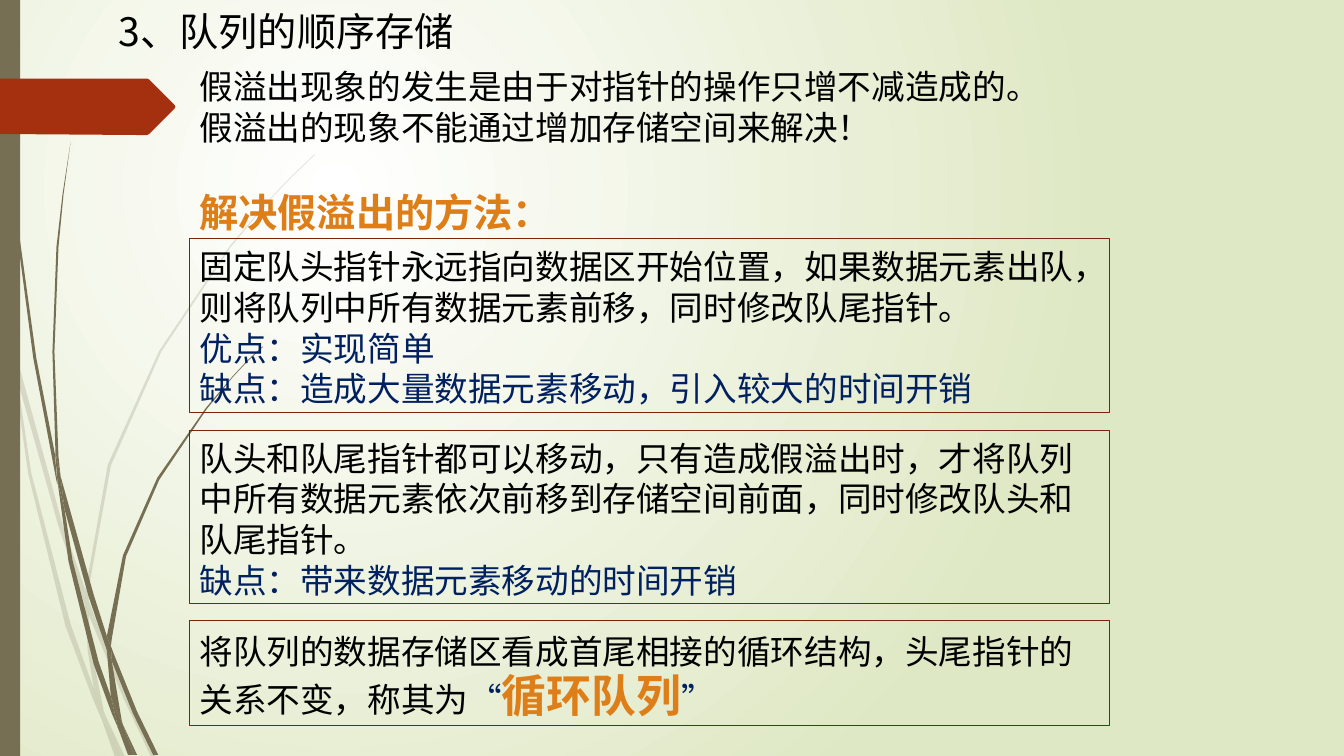
from lxml.etree import SubElement
from pptx import Presentation
from pptx.dml.color import RGBColor
from pptx.enum.shapes import MSO_SHAPE
from pptx.enum.text import MSO_ANCHOR, PP_ALIGN
from pptx.oxml.ns import qn
from pptx.util import Pt

PX = 9144  # 100 px to the inch
THEME = {
    "face": "Noto Sans CJK SC",
    "black": "000000", "navy": "002060", "gold": "DE7E18",
    "olive": "766F54", "rust": "A53010", "edge": "7A240C",
    "white": "FFFFFF", "lime": "DFE8C4",
    "body": 24, "head": 28, "key": 32,
}


def outline(shapes, points, color, alpha=None):
    """Draw a closed, filled outline through points given in px."""
    pen = shapes.build_freeform(*points[0], scale=PX)
    pen.add_line_segments(points[1:], close=True)
    form = pen.convert_to_shape()
    form.shadow.inherit = False
    form.fill.solid()
    form.fill.fore_color.rgb = RGBColor.from_string(THEME[color])
    form.line.fill.background()
    if alpha:
        tint = form.element.spPr.find(".//" + qn("a:srgbClr"))
        SubElement(tint, qn("a:alpha"), val=str(alpha * 1000))


def write(shape, lines, top=7):
    """Fill a shape with (line height, space before, runs) paragraphs."""
    frame = shape.text_frame
    layout = {"word_wrap": True, "vertical_anchor": MSO_ANCHOR.TOP,
              "margin_left": 10 * PX, "margin_right": 10 * PX,
              "margin_top": top * PX, "margin_bottom": 0}
    for key, value in layout.items():
        setattr(frame, key, value)
    for i, (height, gap, runs) in enumerate(lines):
        para = frame.add_paragraph() if i else frame.paragraphs[0]
        para.alignment = PP_ALIGN.LEFT
        para.line_spacing, para.space_before = Pt(height), Pt(gap)
        for text, size, color, bold in runs:
            run = para.add_run()
            run.text = text
            look = {"name": THEME["face"], "size": Pt(THEME[size]), "bold": bold}
            for key, value in look.items():
                setattr(run.font, key, value)
            run.font.color.rgb = RGBColor.from_string(THEME[color])
            SubElement(run._r.get_or_add_rPr(), qn("a:ea"), typeface=THEME["face"])


deck = Presentation()
deck.slide_width, deck.slide_height = 1333 * PX, 750 * PX
slide = deck.slides.add_slide(deck.slide_layouts[6])
shapes = slide.shapes

# Background: glow from the upper left
back = slide.background.fill
back.gradient()
for stop, color, spot in zip(back.gradient_stops, ("white", "lime"), (0, 1)):
    stop.color.rgb = RGBColor.from_string(THEME[color])
    stop.position = spot
grad = slide.element.find(".//" + qn("a:gradFill"))
grad.remove(grad.find(qn("a:lin")))
glow = SubElement(grad, qn("a:path"), path="circle")
SubElement(glow, qn("a:fillToRect"), l="50000", t="50000", r="100000", b="100000")

# Grass blades: x and y of each corner in turn
PALE = [
    "11 350 9 322 0 282 0 299 10 344",
    "58 522 84 599 85 586 62 520 14 345 17 376",
    "92 607 88 596 88 610 123 694 150 751 155 751 127 692",
    "119 751 124 751 105 711",
    "93 683 70 619 31 469 17 376 11 350 28 470 65 621 92 693 101 714 99 707",
    "84 599 87 646 93 683 96 692 105 711 103 706 91 646 88 610 88 608",
    "88 584 110 462 160 349 229 245 268 198 290 175 312 154 312 153"
    " 289 175 268 197 228 244 158 348 107 461 85 584 85 586 88 596",
    "101 714 114 751 119 751",
    "88 608 88 610 88 596 85 586 84 599",
    "96 692 93 683 99 707 101 714 119 751 105 711",
]
DARK = [
    "7 110 17 233 33 355 56 477 57 481 55 457 55 453 36 355 19 232 8 109 5 48 4 0 3 0 4 48",
    "88 592 106 645 106 633 106 631 93 590 60 472 64 505",
    "113 649 110 641 111 656 132 708 152 749 157 749 136 706",
    "110 691 98 657 72 556 64 505 57 477 68 557 93 659 111 708 117 722 116 717",
    "60 472 58 453 54 349 58 245 63 193 70 141 62 193 56 245 52 349 55 449",
    "133 749 136 749 122 719",
    "57 477 64 505 60 472 55 449 55 453",
    "111 633 125 552 158 476 205 406 231 374 245 359 261 344 260 344"
    " 245 358 231 373 204 405 156 474 122 551 106 631 110 641",
    "117 722 127 749 131 749",
    "106 645 110 691 116 706 122 719 121 716 111 656 109 651",
    "106 645 109 651 111 656 110 641 106 631 106 633",
    "116 706 110 691 116 717 117 722 130 749 133 749 122 719",
]
for blades, alpha in ((PALE, 20), (DARK, None)):
    tuft = shapes.add_group_shape().shapes
    for blade in blades:
        flat = [int(n) for n in blade.split()]
        outline(tuft, list(zip(flat[::2], flat[1::2])), "olive", alpha)

# Side bar and arrow tag
bar = shapes.add_shape(MSO_SHAPE.RECTANGLE, 0, 0, 20 * PX, 750 * PX)
bar.shadow.inherit = False
bar.fill.solid()
bar.fill.fore_color.rgb = RGBColor.from_string(THEME["olive"])
bar.line.fill.background()
outline(shapes, [(0, 78), (146, 78), (148, 79), (173, 104), (174, 106), (173, 108),
                 (148, 133), (146, 134), (136, 134), (0, 133)], "rust")

# Title and introduction
title = shapes.add_textbox(108 * PX, 0, 1179 * PX, 57 * PX)
write(title, [(34, 0, [("3、队列的顺序存储", "head", "black", False)])])
intro = shapes.add_textbox(188 * PX, 58 * PX, 930 * PX, 178 * PX)
write(intro, [
    (29, 0, [("假溢出现象的发生是由于对指针的操作只增不减造成的。", "body", "black", False)]),
    (29, 0, [("假溢出的现象不能通过增加存储空间来解决！", "body", "black", False)]),
    (34, 29, [("解决假溢出的方法：", "head", "gold", True)]),
])

# Three framed methods
FIRST = [("固定队头指针永远指向数据区开始位置，如果数据元素出队，", "black"),
         ("则将队列中所有数据元素前移，同时修改队尾指针。", "black"),
         ("优点：实现简单", "navy"),
         ("缺点：造成大量数据元素移动，引入较大的时间开销", "navy")]
SECOND = [("队头和队尾指针都可以移动，只有造成假溢出时，才将队列中所有数据元素依次前移到存储空间前面，"
           "同时修改队头和队尾指针。", "black"),
          ("缺点：带来数据元素移动的时间开销", "navy")]
THIRD = [("将队列的数据存储区看成首尾相接的循环结构，头尾指针的关系不变，称其为", "body", "black", False),
         ("“", "body", "navy", False), ("循环队列", "key", "gold", True), ("”", "body", "navy", False)]
plain = [[(29, 0, [(text, "body", color, False)]) for text, color in part] for part in (FIRST, SECOND)]
for y, height, lines, top in ((237, 172, plain[0], 7), (427, 172, plain[1], 7),
                              (616, 104, [(36, 0, THIRD)], 0)):
    box = shapes.add_shape(MSO_SHAPE.RECTANGLE, 188 * PX, y * PX, 912 * PX, height * PX)
    box.shadow.inherit = False
    box.fill.background()
    box.line.color.rgb = RGBColor.from_string(THEME["edge"])
    box.line.width = Pt(0.75)
    write(box, lines, top)

deck.save("out.pptx")
